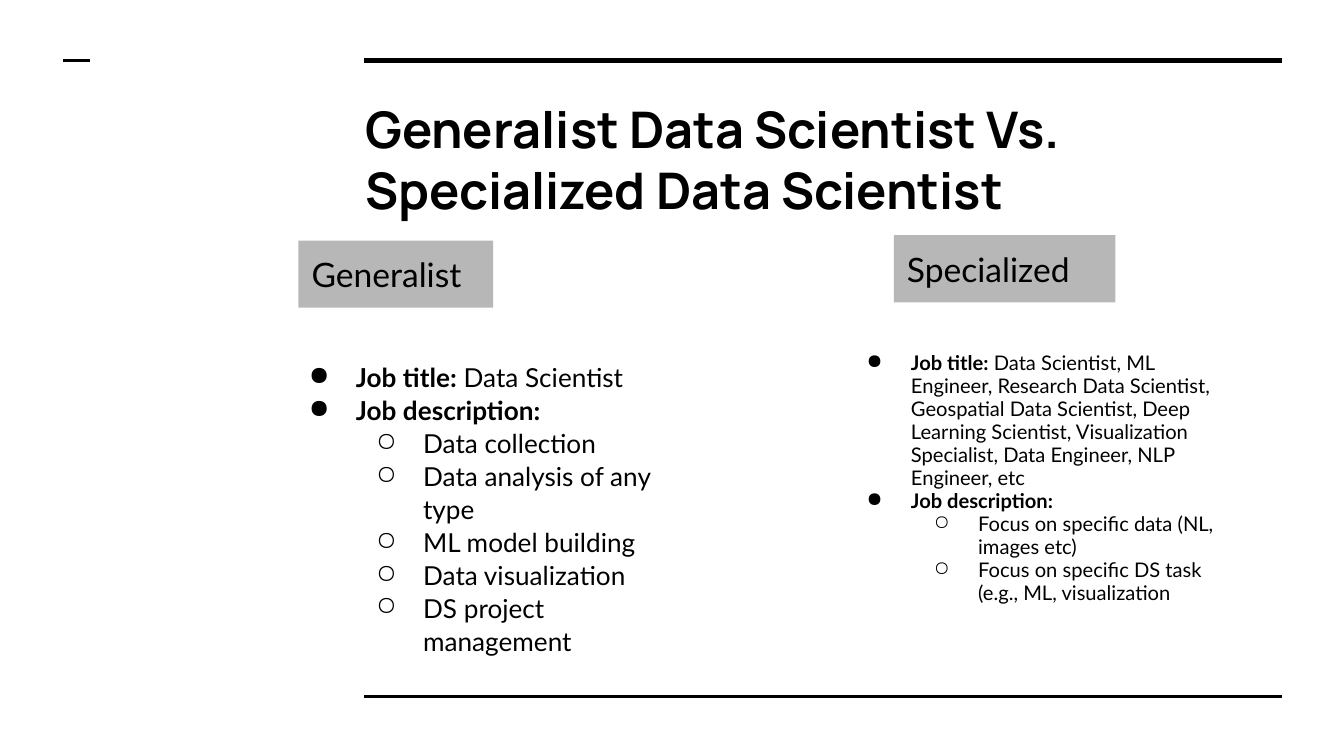
import pptx
import pptx.util
import pptx.dml.color
import pptx.enum.shapes
import pptx.enum.text
import pptx.oxml
import pptx.oxml.ns

Inches, Pt = pptx.util.Inches, pptx.util.Pt
COLORS = {"black": "000000", "label": "B7B7B7"}
BULLETS = "●○"


def rgb(name):
    return pptx.dml.color.RGBColor.from_string(COLORS[name])


def add_rule(s, x1, x2, y, width):
    line = s.shapes.add_connector(
        pptx.enum.shapes.MSO_CONNECTOR.STRAIGHT,
        Inches(x1), Inches(y), Inches(x2), Inches(y))
    line.line.color.rgb = rgb("black")
    line.line.width = Pt(width)
    line._element.spPr.append(pptx.oxml.parse_xml(
        "<a:effectLst %s/>" % pptx.oxml.ns.nsdecls("a")))


def format_frame(tf):
    margins = {"margin_" + side: Inches(0.1) for side in ("left", "top", "right", "bottom")}
    values = {"word_wrap": True, "vertical_anchor": pptx.enum.text.MSO_ANCHOR.TOP, **margins}
    for name, value in values.items():
        setattr(tf, name, value)


def add_textbox(s, x, y, w, h):
    tf = s.shapes.add_textbox(Inches(x), Inches(y), Inches(w), Inches(h)).text_frame
    format_frame(tf)
    return tf


def add_run(p, text, size, bold=False, font="Lato"):
    r = p.add_run()
    r.text = text
    values = {"size": Pt(size), "bold": bold, "name": font}
    for name, value in values.items():
        setattr(r.font, name, value)
    r.font.color.rgb = rgb("black")


def add_title(s, text):
    p = add_textbox(s, 2.62, 0.63, 6.91, 0.69).paragraphs[0]
    add_run(p, text, 27, True, "Manrope")


def add_label(s, text, x, y, w):
    sp = s.shapes.add_shape(pptx.enum.shapes.MSO_SHAPE.RECTANGLE,
                            Inches(x), Inches(y), Inches(w), Inches(0.5))
    sp.shadow.inherit = False
    sp.fill.solid()
    sp.fill.fore_color.rgb = rgb("label")
    sp.line.fill.background()
    format_frame(sp.text_frame)
    p = sp.text_frame.paragraphs[0]
    p.alignment = pptx.enum.text.PP_ALIGN.LEFT
    add_run(p, text, 18)


def set_bullet(p, level, hanging):
    p.level = level
    pPr = p._p.get_or_add_pPr()
    pPr.set("marL", str(Inches(0.5 * (level + 1))))
    pPr.set("indent", str(-Inches(hanging)))
    ns = pptx.oxml.ns.nsdecls("a")
    for xml in (f'<a:buClr {ns}><a:srgbClr val="{COLORS["black"]}"/></a:buClr>',
                f'<a:buChar {ns} char="{BULLETS[level]}"/>'):
        pPr.append(pptx.oxml.parse_xml(xml))


def add_job_list(s, x, y, size, spacing, hanging, titles, tasks):
    """Job title and description, with the tasks as second-level bullets."""
    tf = add_textbox(s, x, y, 2.97, 2.45)
    items = [(0, "Job title:", " " + titles), (0, "Job description:", "")]
    items += [(1, "", task) for task in tasks]
    for i, (level, heading, text) in enumerate(items):
        p = tf.add_paragraph() if i else tf.paragraphs[0]
        p.line_spacing = spacing
        set_bullet(p, level, hanging)
        if heading:
            add_run(p, heading, size, True)
        if text:
            add_run(p, text, size)


def main():
    prs = pptx.Presentation()
    prs.slide_width = Inches(10)
    prs.slide_height = Inches(10) * 9 // 16
    s = prs.slides.add_slide(prs.slide_layouts[6])

    add_rule(s, 2.71, 9.54, 0.45, 3)
    add_rule(s, 2.71, 9.54, 5.18, 1.5)
    add_rule(s, 0.47, 0.67, 0.45, 1.5)
    add_title(s, "Generalist Data Scientist Vs. Specialized Data Scientist")

    add_label(s, "Generalist", 2.22, 1.79, 1.45)
    add_job_list(s, 2.05, 2.58, 14, 1.05, 0.35, "Data Scientist",
                 ["Data collection", "Data analysis of any type", "ML model building",
                  "Data visualization", "DS project management"])

    add_label(s, "Specialized", 6.65, 1.75, 1.65)
    add_job_list(s, 6.18, 2.52, 10.8, 0.95, 0.33,
                 "Data Scientist, ML Engineer, Research Data Scientist, "
                 "Geospatial Data Scientist, Deep Learning Scientist, "
                 "Visualization Specialist, Data Engineer, NLP Engineer, etc",
                 ["Focus on specific data (NL, images etc)",
                  "Focus on specific DS task (e.g., ML, visualization"])

    prs.save("out.pptx")


if __name__ == "__main__":
    main()
